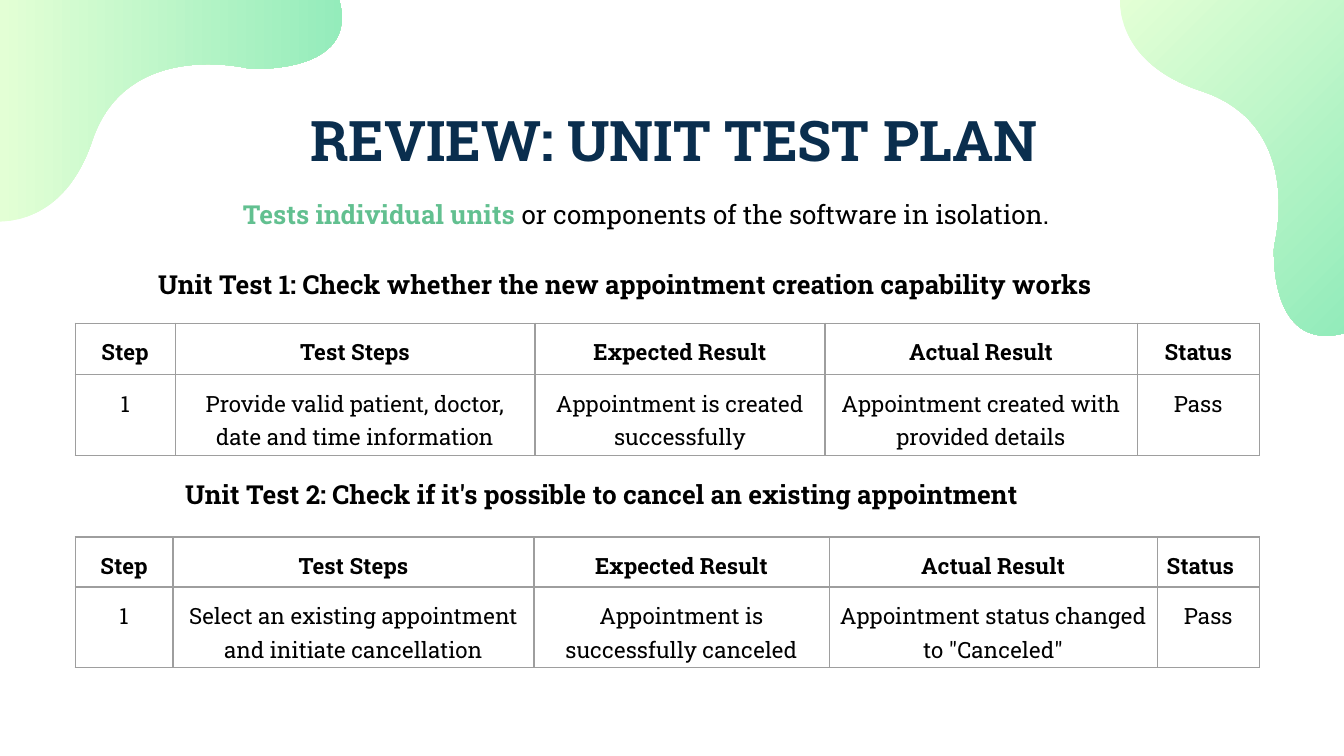
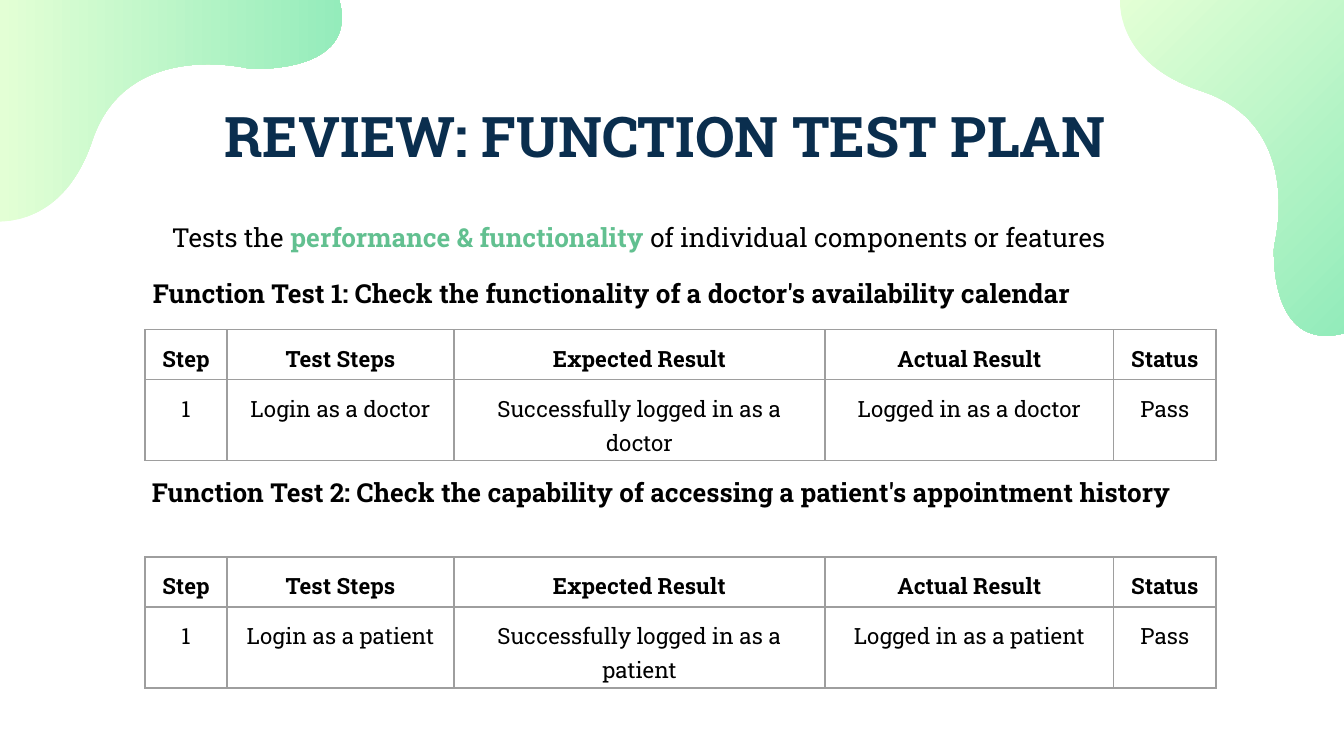
from lxml import etree
from pptx import Presentation
from pptx import util as u
from pptx.dml.color import RGBColor
from pptx.enum import text
from pptx.oxml import ns

NAVY = RGBColor(0x0A, 0x2E, 0x4E)
GREEN = RGBColor(0x62, 0xC0, 0x90)
BLACK = RGBColor(0, 0, 0)
PALE = RGBColor(0xE3, 0xFF, 0xD5)
MINT = RGBColor(0x90, 0xEB, 0xBA)
GRID = RGBColor(0x9E, 0x9E, 0x9E)

CENTER = text.PP_ALIGN.CENTER
LEFT = text.PP_ALIGN.LEFT
JUSTIFY = text.PP_ALIGN.JUSTIFY

HEADERS = ["Step", "Test Steps", "Expected Result", "Actual Result", "Status"]
RESULT_HEIGHT = 1.42
FUNCTION_COLUMNS = (1.55, 4.29, 7.01, 5.46, 1.93)

LEFT_BLOB = [
    [(0, 4.19)],
    [(0.48, 4.17), (1.32, 3.94), (1.75, 2.64)],
    [(2.41, 0.71), (4.72, 1.3), (4.72, 1.3)],
    [(4.72, 1.3), (6.81, 1.42), (6.41, 0)],
    [(0, 0)],
    [(0, 0), (0, 4.19), (0, 4.19)],
]
RIGHT_BLOB = [
    [(21.16, 0)],
    [(21.18, 0.48), (21.41, 1.3), (22.73, 1.73)],
    [(24.69, 2.39), (24.08, 4.65), (24.08, 4.65)],
    [(24.08, 4.65), (23.95, 6.68), (25.4, 6.3)],
    [(25.4, 0)],
    [(25.4, 0), (21.16, 0), (21.16, 0)],
]


class Deck:
    font = "Roboto Slab"

    def __init__(self):
        self.prs = Presentation()
        self.prs.slide_width = u.Cm(25.4)
        self.prs.slide_height = u.Cm(14.29)
        self.layout = self.prs.slide_layouts[5]
        self.slide = None

    def new_slide(self):
        self.slide = self.prs.slides.add_slide(self.layout)

    def style(self, font, size, color=BLACK, bold=False):
        font.name = self.font
        font.size = u.Pt(size)
        font.bold = bold
        font.color.rgb = color

    def bend(self, shape, segments):
        lines = list(shape.element.iter(ns.qn("a:lnTo")))
        for segment in segments[1:]:
            group, lines = lines[:len(segment)], lines[len(segment):]
            if len(group) == 3:
                curve = etree.Element(ns.qn("a:cubicBezTo"))
                group[0].addprevious(curve)
                for line in group:
                    curve.append(line[0])
                    line.getparent().remove(line)

    def layout_blob(self, segments, angle):
        points = [(u.Cm(x), u.Cm(y)) for segment in segments for x, y in segment]
        builder = self.slide.shapes.build_freeform(*points[0], scale=1.0)
        builder.add_line_segments(points[1:], close=True)
        blob = builder.convert_to_shape()
        self.bend(blob, segments)
        blob.shadow.inherit = False
        blob.line.fill.background()
        blob.fill.gradient()
        blob.fill.gradient_angle = angle
        for stop, color in zip(blob.fill.gradient_stops, (PALE, MINT)):
            stop.color.rgb = color
        self.layout.shapes.element.insert(2, blob.element)

    def title(self, wording, left, top):
        title = self.slide.shapes.title
        title.left, title.top = u.Cm(left), u.Cm(top)
        title.width, title.height = u.Cm(21.34), u.Cm(2.21)
        frame = title.text_frame
        frame.text = wording
        frame.auto_size = text.MSO_AUTO_SIZE.NONE
        frame.vertical_anchor = text.MSO_ANCHOR.TOP
        frame.margin_left = frame.margin_right = u.Cm(0.25)
        frame.margin_top = frame.margin_bottom = u.Cm(0.25)
        paragraph = frame.paragraphs[0]
        paragraph.alignment = CENTER
        self.style(paragraph.font, 30, NAVY, True)

    def text_line(self, left, top, width, height, align):
        box = self.slide.shapes.add_textbox(*map(u.Cm, (left, top, width, height)))
        frame = box.text_frame
        frame.word_wrap = True
        frame.auto_size = text.MSO_AUTO_SIZE.SHAPE_TO_FIT_TEXT
        paragraph = frame.paragraphs[0]
        paragraph.alignment = align
        return paragraph

    def intro(self, parts, left, top, width, align):
        paragraph = self.text_line(left, top, width, 0.86, align)
        for wording, key in parts:
            run = paragraph.add_run()
            run.text = wording
            self.style(run.font, 14, GREEN if key else BLACK, key)

    def heading(self, wording, left, top, width, before=0):
        paragraph = self.text_line(left, top, width, 0.79, JUSTIFY)
        paragraph.text = wording
        paragraph.line_spacing = 0.9
        paragraph.space_before = u.Pt(before)
        paragraph.space_after = u.Pt(12)
        self.style(paragraph.font, 14, bold=True)

    def borders(self, cell):
        properties = cell._tc.get_or_add_tcPr()
        for index, side in enumerate(("a:lnL", "a:lnR", "a:lnT", "a:lnB")):
            line = etree.Element(ns.qn(side), w=str(u.Pt(0.75)))
            fill = etree.SubElement(line, ns.qn("a:solidFill"))
            etree.SubElement(fill, ns.qn("a:srgbClr"), val=str(GRID))
            properties.insert(index, line)

    def table(self, result, left, top, columns, header_height=0.93, header_after=0):
        heights = (header_height, RESULT_HEIGHT)
        table = self.slide.shapes.add_table(
            2, len(columns), u.Cm(left), u.Cm(top),
            u.Cm(sum(columns)), u.Cm(sum(heights)),
        ).table
        table.first_row = table.horz_banding = False
        for column, width in zip(table.columns, columns):
            column.width = u.Cm(width)
        for row, height, words in zip(table.rows, heights, (HEADERS, result)):
            row.height = u.Cm(height)
            is_header = words is HEADERS
            for cell, wording in zip(row.cells, words):
                cell.text = wording
                cell.fill.background()
                self.borders(cell)
                cell.margin_left = cell.margin_right = u.Cm(0.18)
                cell.margin_top = cell.margin_bottom = u.Cm(0.18)
                paragraph = cell.text_frame.paragraphs[0]
                paragraph.alignment = CENTER
                paragraph.line_spacing = 1.15
                paragraph.space_after = u.Pt(header_after if is_header else 0)
                self.style(paragraph.font, 12, bold=is_header)
        return table


def unit_tests(deck):
    deck.new_slide()
    deck.title("REVIEW: UNIT TEST PLAN", 2.07, 1.74)
    deck.intro(
        [("Tests individual units ", True),
         ("or components of the software in isolation.", False)],
        4.34, 3.62, 17.48, JUSTIFY)
    deck.heading("Unit Test 1: Check whether the new appointment creation capability works",
                 2.74, 5.01, 19.99)
    deck.table(
        ["1", "Provide valid patient, doctor, date and time information",
         "Appointment is created successfully",
         "Appointment created with provided details", "Pass"],
        1.42, 6.11, (1.89, 6.8, 5.48, 5.9, 2.31), header_height=0.97, header_after=10)
    deck.heading("Unit Test 2: Check if it's possible to cancel an existing appointment",
                 3.25, 8.98, 19.99)
    cancellation = deck.table(
        ["1", "Select an existing appointment and initiate cancellation",
         "Appointment is successfully canceled",
         "Appointment status changed to \"Canceled\"", "Pass"],
        1.42, 10.15, (1.85, 6.82, 5.58, 6.2, 1.93), header_after=10)
    cancellation.cell(0, 4).text_frame.paragraphs[0].alignment = JUSTIFY


def function_tests(deck):
    deck.new_slide()
    deck.title("REVIEW: FUNCTION TEST PLAN", 1.9, 1.66)
    deck.intro(
        [("Tests the ", False), ("performance & functionality ", True),
         ("of individual components or features", False)],
        3, 4.06, 19.58, LEFT)
    tests = [
        ("Function Test 1: Check the functionality of a doctor's availability calendar",
         "doctor", 2.64, 5.18, 6.23),
        ("Function Test 2: Check the capability of accessing a patient's appointment history",
         "patient", 2.62, 8.94, 10.53),
    ]
    for heading, role, left, heading_top, table_top in tests:
        deck.heading(heading, left, heading_top, 20.37, before=12)
        deck.table(
            ["1", f"Login as a {role}", f"Successfully logged in as a {role}",
             f"Logged in as a {role}", "Pass"],
            2.74, table_top, FUNCTION_COLUMNS)


def main():
    deck = Deck()
    unit_tests(deck)
    deck.layout_blob(LEFT_BLOB, 0)
    deck.layout_blob(RIGHT_BLOB, 315)
    function_tests(deck)
    deck.prs.save("out.pptx")


if __name__ == "__main__":
    main()
